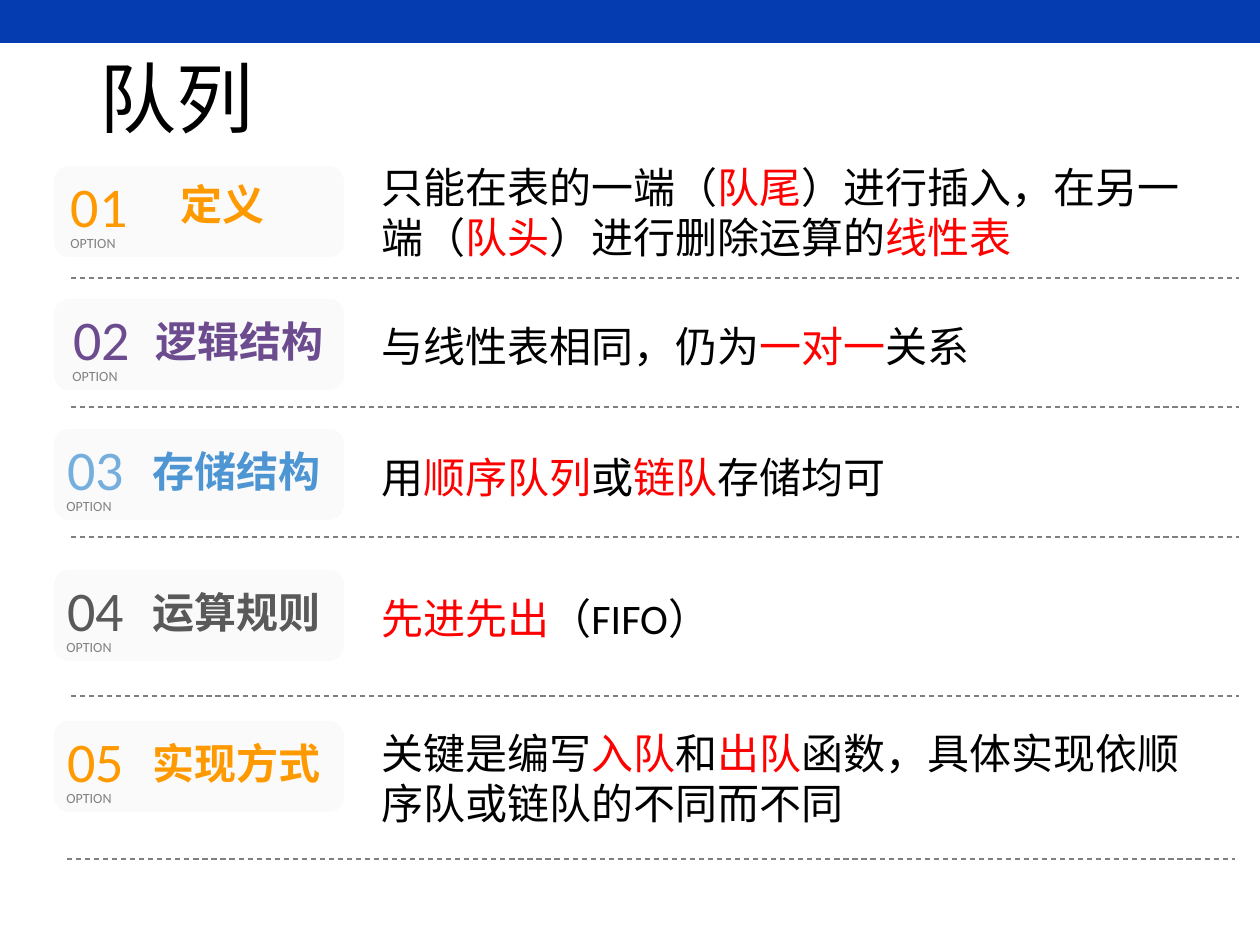
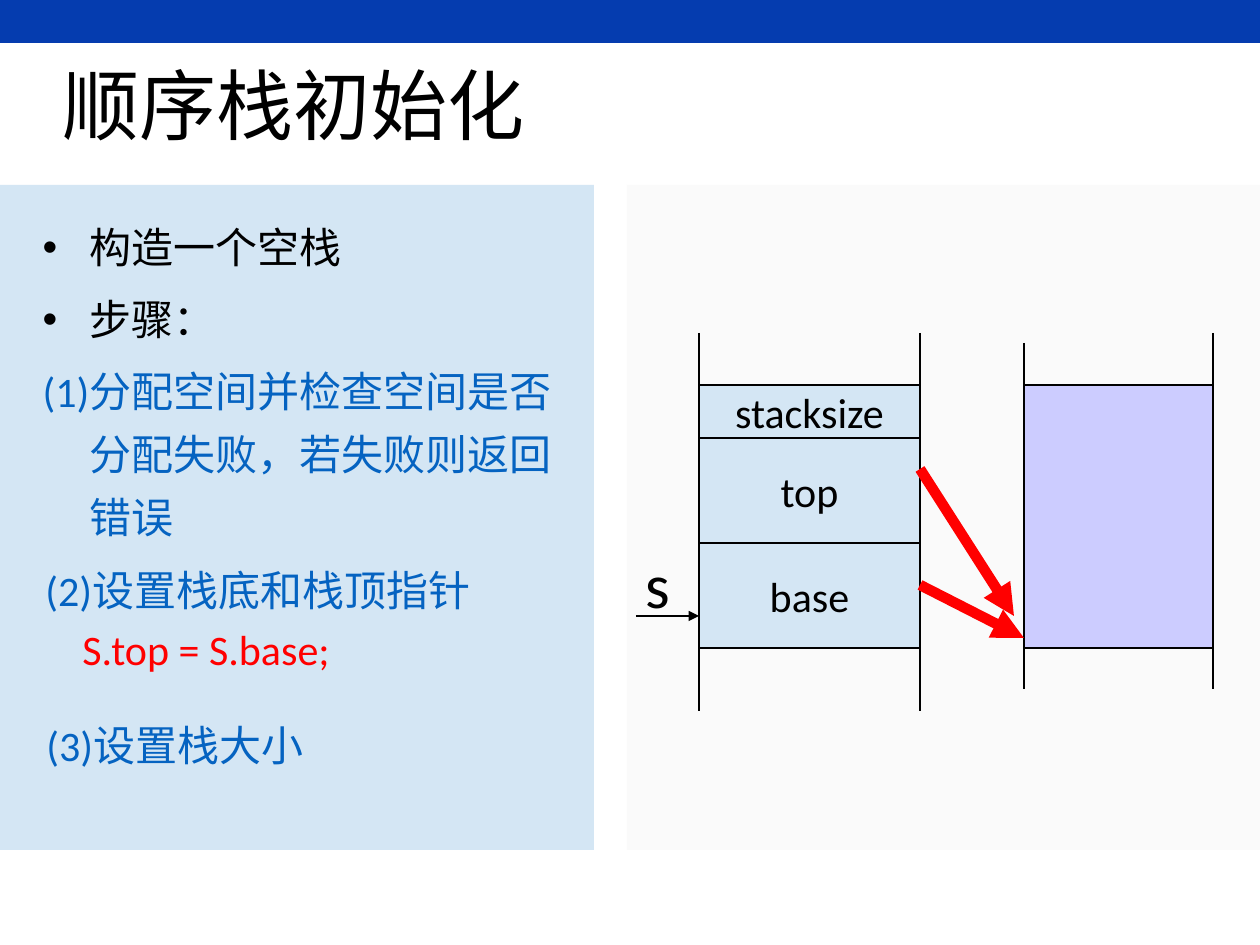
from lxml import etree
from pptx import Presentation
from pptx.dml.color import RGBColor
from pptx.enum.dml import MSO_LINE
from pptx.enum.lang import MSO_LANGUAGE_ID
from pptx.enum.shapes import MSO_CONNECTOR, MSO_SHAPE
from pptx.enum.text import MSO_ANCHOR, MSO_AUTO_SIZE, PP_ALIGN
from pptx.oxml.ns import qn
from pptx.util import Emu, Pt

RECT, ROUNDED = MSO_SHAPE.RECTANGLE, MSO_SHAPE.ROUNDED_RECTANGLE
STRAIGHT, DASH = MSO_CONNECTOR.STRAIGHT, MSO_LINE.DASH
TOP, MIDDLE = MSO_ANCHOR.TOP, MSO_ANCHOR.MIDDLE
LEFT, CENTER = PP_ALIGN.LEFT, PP_ALIGN.CENTER
CHINESE = MSO_LANGUAGE_ID.SIMPLIFIED_CHINESE

BLACK = RGBColor(0, 0, 0)
RED = RGBColor(0xFF, 0, 0)
BAND_BLUE = RGBColor(0x05, 0x3C, 0xAF)
PALE_BLUE = RGBColor(0xD4, 0xE6, 0xF4)
STEP_BLUE = RGBColor(0x05, 0x63, 0xC1)
LILAC = RGBColor(0xCC, 0xCC, 0xFF)
PALE_GRAY = RGBColor(0xFA, 0xFA, 0xFA)
RULE_GRAY = RGBColor(0x80, 0x80, 0x80)
OPTION_GRAY = RGBColor(0x81, 0x81, 0x81)
ORANGE = RGBColor(0xFF, 0x99, 0)
PURPLE = RGBColor(0x6C, 0x4C, 0x8F)
SKY = RGBColor(0x76, 0xAE, 0xDD)
BLUE = RGBColor(0x4D, 0x96, 0xD3)
DARK_GRAY = RGBColor(0x59, 0x59, 0x59)

FONT = "Calibri"
PX_PER_INCH = 126
SLIDE_W, SLIDE_H = 1260, 945
HANG = 47  # hanging indent of the steps

# Queue slide: text between bars is stressed in red
QUEUE_TITLE = "队列"
QUEUE_ROWS = [
    dict(heading="定义", colors=(ORANGE, ORANGE), card_y=166, number_x=71,
         heading_x=168, lift=8, text_y=155, text_w=837, rule=(71, 278),
         text="只能在表的一端（|队尾|）进行插入，在另一端（|队头|）进行删除运算的|线性表"),
    dict(heading="逻辑结构", colors=(PURPLE, PURPLE), card_y=299, number_x=73,
         heading_x=143, lift=4, text_y=314, text_w=837, rule=(71, 407),
         text="与线性表相同，仍为|一对一|关系"),
    dict(heading="存储结构", colors=(SKY, BLUE), card_y=429, number_x=67,
         heading_x=140, lift=4, text_y=445, text_w=876, rule=(71, 537),
         text="用|顺序队列|或|链队|存储均可"),
    dict(heading="运算规则", colors=(DARK_GRAY, DARK_GRAY), card_y=570, number_x=67,
         heading_x=140, lift=4, text_y=586, text_w=876, rule=(71, 696),
         text="|先进先出|（FIFO）"),
    dict(heading="实现方式", colors=(ORANGE, ORANGE), card_y=721, number_x=67,
         heading_x=140, lift=4, text_y=721, text_w=857, rule=(67, 859),
         text="关键是编写|入队|和|出队|函数，具体实现依顺序队或链队的不同而不同"),
]
CARD_X, CARD_W, CARD_H, RULE_W = 54, 290, 91, 1168

# Stack slide
STACK_TITLE = "顺序栈初始化"
GOALS = ["构造一个空栈", "步骤："]
STEP_1 = "(1)分配空间并检查空间是否分配失败，若失败则返回错误"
STEP_2, STEP_2_CODE = "(2)设置栈底和栈顶指针", "S.top = S.base;"
STEP_3 = "(3)设置栈大小"
FIELDS = [("stacksize", 53), ("top", 105), ("base", 105)]  # name, height
POINTERS = [((920, 585), (1024, 638)), ((920, 469), (1014, 616))]
STACK_X, STACK_W, STACK_Y = 699, 221, 385
MEMORY_X, MEMORY_W = 1024, 189
RAILS = [(STACK_X, 333, 711), (STACK_X + STACK_W, 333, 711),
         (MEMORY_X, 343, 689), (MEMORY_X + MEMORY_W, 333, 689)]


def px(value):
    return Emu(round(value * 914400 / PX_PER_INCH))


def write(frame, text, size=24, color=BLACK, bold=False, align=LEFT, anchor=TOP,
          spacing=None, before=0, hang=None, more=False):
    """Write one paragraph; more=True adds it after those already there."""
    frame.word_wrap = True
    frame.auto_size = MSO_AUTO_SIZE.NONE
    frame.vertical_anchor = anchor
    para = frame.add_paragraph() if more else frame.paragraphs[0]
    para.alignment = align
    para.space_before = Pt(before)
    if spacing:
        para.line_spacing = spacing
    if hang is not None:
        left, first = hang
        props = para._p.get_or_add_pPr()
        props.set("marL", str(px(left)))
        props.set("indent", str(px(first)))
        etree.SubElement(props, qn("a:buNone"))
    for index, part in enumerate(text.split("|")):
        if part:
            run = para.add_run()
            run.text = part
            run.font.name = FONT
            run.font.size = Pt(size)
            run.font.bold = bold
            run.font.language_id = CHINESE
            run.font.color.rgb = RED if index % 2 else color


def place(shape, *box):
    shape.left, shape.top, shape.width, shape.height = map(px, box)


def label(slide, text, *box, inset=True, **fmt):
    frame = slide.shapes.add_textbox(*map(px, box)).text_frame
    if not inset:
        frame.margin_left = frame.margin_right = 0
        frame.margin_top = frame.margin_bottom = 0
    write(frame, text, **fmt)
    return frame


def block(slide, kind, fill, *box, outline=None):
    shape = slide.shapes.add_shape(kind, *map(px, box))
    shape.shadow.inherit = False
    shape.fill.solid()
    shape.fill.fore_color.rgb = fill
    if outline is None:
        shape.line.fill.background()
    else:
        shape.line.color.rgb = outline
        shape.line.width = Pt(0.75)
    return shape


def connect(slide, start, end, color=BLACK, width=0.75, dash=None, arrow=False):
    line = slide.shapes.add_connector(STRAIGHT, *map(px, (*start, *end)))
    line.line.color.rgb = color
    line.line.width = Pt(width)
    if dash:
        line.line.dash_style = dash
    if arrow:
        etree.SubElement(line.line._get_or_add_ln(), qn("a:tailEnd"), type="triangle")
    etree.SubElement(line._element.spPr, qn("a:effectLst"))


def new_slide(deck, layout, title, *title_box):
    slide = deck.slides.add_slide(deck.slide_layouts[layout])
    block(slide, RECT, BAND_BLUE, 0, 0, SLIDE_W, 43)
    place(slide.shapes.title, *title_box)
    write(slide.shapes.title.text_frame, title, size=44, anchor=MIDDLE, spacing=0.9)
    return slide


def build_queue(deck):
    slide = new_slide(deck, 5, QUEUE_TITLE, 87, 50, 1086, 106)
    for number, row in enumerate(QUEUE_ROWS, 1):
        y, x = row["card_y"], row["number_x"]
        number_color, heading_color = row["colors"]
        block(slide, ROUNDED, PALE_GRAY, CARD_X, y, CARD_W, CARD_H)
        label(slide, f"{number:02}", x, y + 5, 67, 68, inset=False, size=32,
              color=number_color, anchor=MIDDLE)
        label(slide, "OPTION", x - 13, y + 62, 82, 30, size=8, color=OPTION_GRAY)
        label(slide, row["heading"], row["heading_x"], y + 12 - row["lift"], 207, 68,
              color=heading_color, bold=True, anchor=MIDDLE)
        label(slide, row["text"], 369, row["text_y"], row["text_w"], 59)
        rule_x, rule_y = row["rule"]
        connect(slide, (rule_x, rule_y), (rule_x + RULE_W, rule_y), RULE_GRAY, dash=DASH)


def build_stack(deck):
    slide = new_slide(deck, 1, STACK_TITLE, 50, 58, 1086, 103)
    block(slide, RECT, PALE_BLUE, 0, 185, 594, 665)
    block(slide, RECT, PALE_GRAY, 627, 185, 633, 665)

    # Steps, on top of the left panel
    steps = slide.placeholders[1]
    slide.shapes._spTree.append(steps._element)
    place(steps, 30, 203, 571, 335)
    for index, goal in enumerate(GOALS):
        write(steps.text_frame, goal, spacing=1.25, before=5, more=index > 0)
    write(steps.text_frame, STEP_1, color=STEP_BLUE, spacing=1.25, before=5,
          hang=(HANG, -HANG), more=True)
    pointers = label(slide, STEP_2, 33, 558, 645, 144, color=STEP_BLUE, before=5,
                     hang=(HANG, -HANG))
    write(pointers, STEP_2_CODE, color=RED, before=5, hang=(37, 0), more=True)
    label(slide, STEP_3, 34, 713, 619, 72, color=STEP_BLUE, before=5, hang=(HANG, -HANG))

    # Stack record and the memory it points into
    y = STACK_Y
    for field, height in FIELDS:
        cell = block(slide, RECT, PALE_BLUE, STACK_X, y, STACK_W, height, outline=BLACK)
        write(cell.text_frame, field, align=CENTER, anchor=MIDDLE)
        y += height
    block(slide, RECT, LILAC, MEMORY_X, STACK_Y, MEMORY_W, y - STACK_Y, outline=BLACK)
    for x, top, bottom in RAILS:
        connect(slide, (x, top), (x, bottom))
    label(slide, "s", 633, 539, 50, 89, size=36)
    connect(slide, (636, 616), (STACK_X, 616), arrow=True)
    for start, end in POINTERS:
        connect(slide, start, end, RED, width=6, arrow=True)


def main():
    deck = Presentation()
    deck.slide_width, deck.slide_height = px(SLIDE_W), px(SLIDE_H)
    build_queue(deck)
    build_stack(deck)
    deck.save("out.pptx")


if __name__ == "__main__":
    main()
